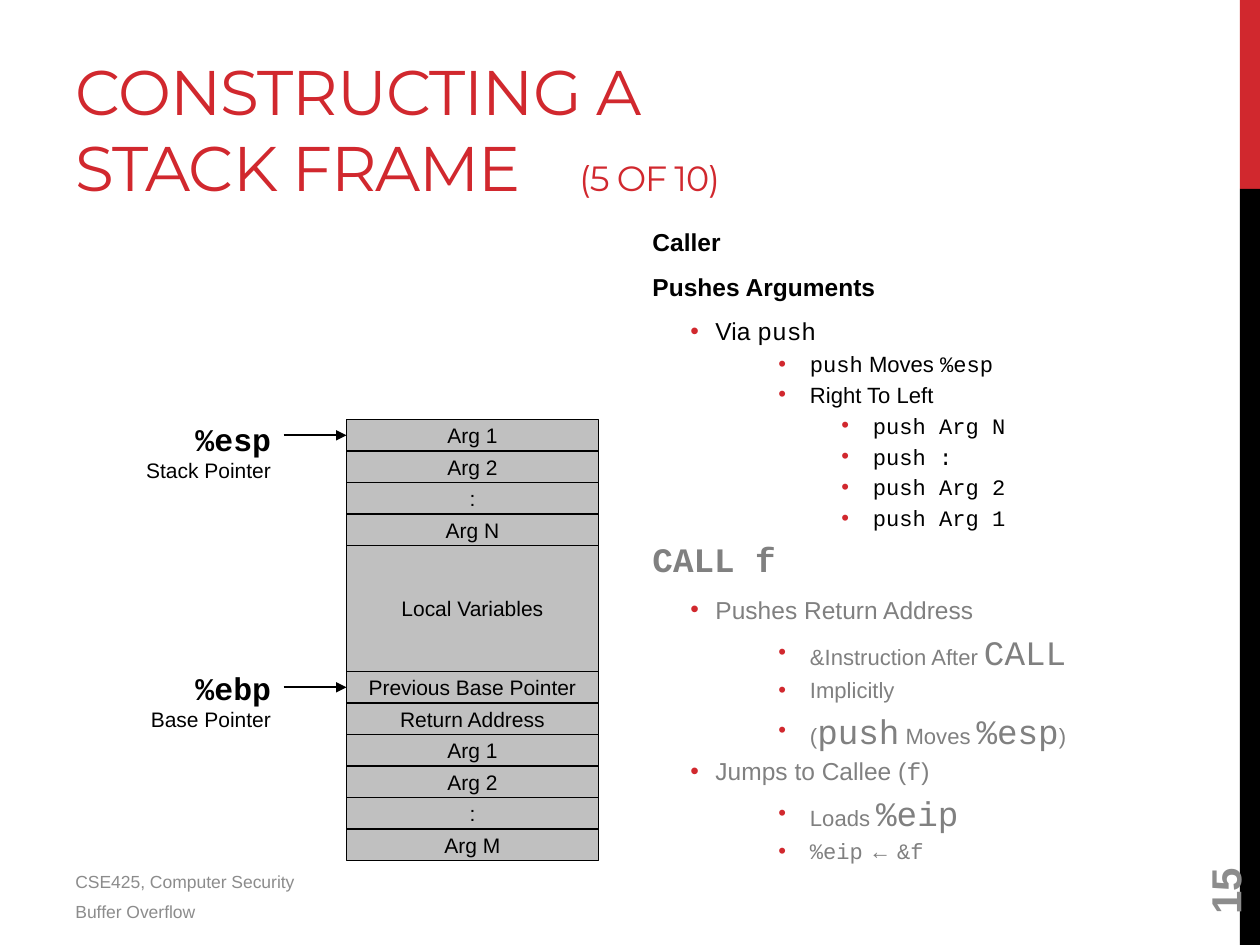
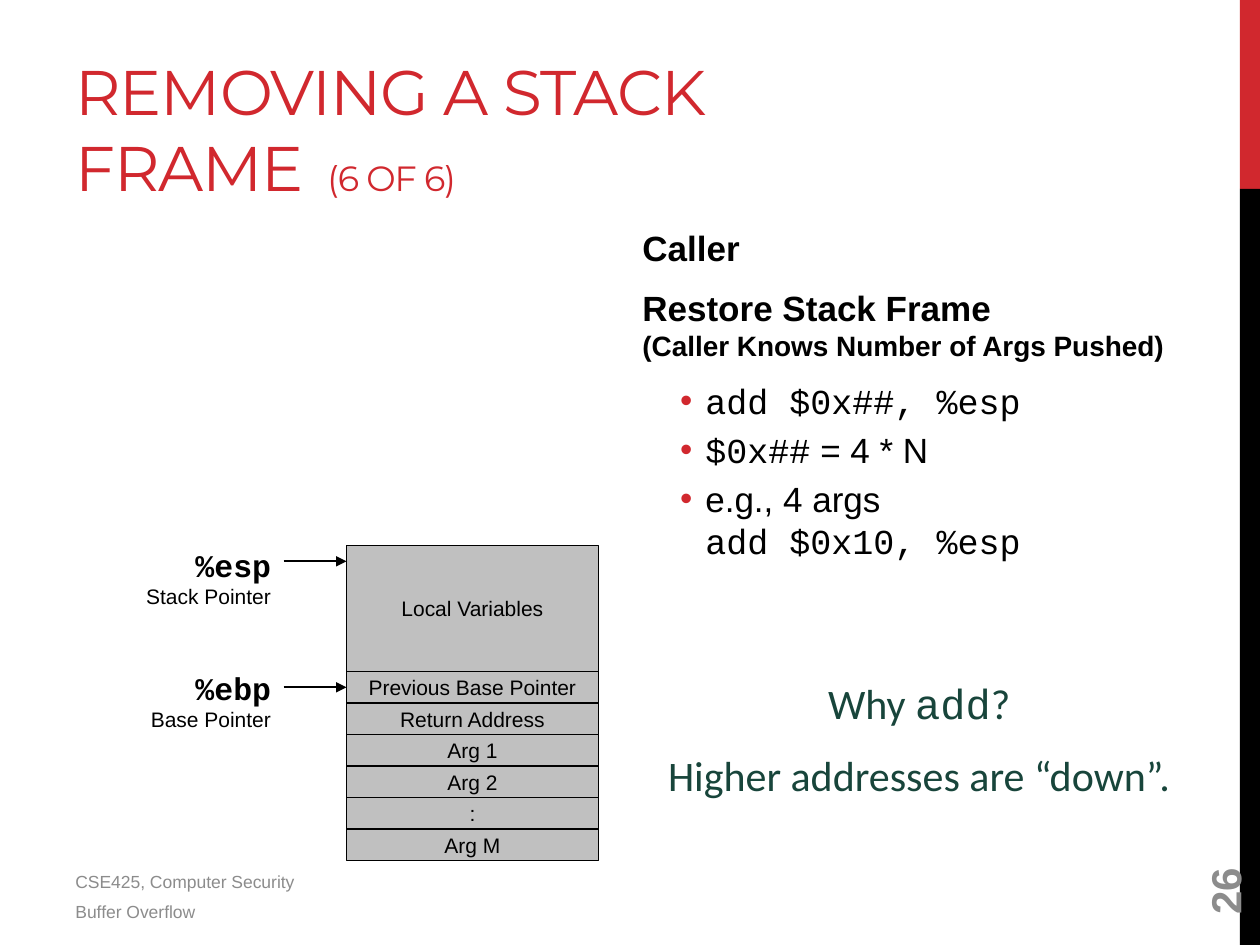
"""Build two slides on constructing and removing a stack frame."""
from dataclasses import dataclass
from functools import partial
from typing import NamedTuple

from lxml.etree import SubElement
from pptx import Presentation
from pptx.dml.color import RGBColor
from pptx.enum.shapes import MSO_CONNECTOR as CONN, MSO_SHAPE as SHAPE
from pptx.enum.text import MSO_ANCHOR as ANCHOR, PP_ALIGN as ALIGN
from pptx.oxml.ns import qn
from pptx.util import Emu, Pt

PX = 9144
RED, BLACK, GRAY, FOOT, SILVER, GREEN = (
    "D1282E", "000000", "808080", "8C8C8C", "C0C0C0", "18453B")
SANS, MONO, HEAD, NOTE = "Arial", "Courier New", "Montserrat", "Calibri"
SLOT, STACK_X, STACK_W, STACK_BOTTOM = 25, 275, 200, 683
INDENTS = ((0, 0), (50, -20), (125, -25), (175, -25))


class Run(NamedTuple):
    text: str
    size: float
    font: str = SANS
    color: str = BLACK
    bold: bool = False
    spacing: int = 0


class Box(NamedTuple):
    x: int
    y: int
    w: int
    h: int


@dataclass
class Para:
    runs: list[Run]
    level: int = 0
    before: int = 0
    after: int = 0
    align: ALIGN = ALIGN.LEFT


@dataclass
class Cell:
    label: str
    slots: int = 1


@dataclass
class Pointer:
    name: str
    caption: str
    cell: int
    rise: int = 0


@dataclass
class Page:
    title: str
    step: str
    number: str
    body_box: Box
    body: list[Para]
    cells: list[Cell]
    note: list[Para]


code = partial(Run, font=MONO)
dim = partial(Run, color=GRAY)
dim_code = partial(Run, font=MONO, color=GRAY)


def px(n: float) -> Emu:
    """Turn px into EMU."""
    return Emu(round(n * PX))


def rgb(value: str) -> RGBColor:
    """Turn a hex string into a colour."""
    return RGBColor.from_string(value)


def add_run(p, text: str, *, size: float, font: str, color: str,
            bold: bool, spacing: int) -> None:
    """Add formatted text to a paragraph, with a line break at each newline."""
    for i, line in enumerate(text.split("\n")):
        if i:
            p.add_line_break()
        r = p.add_run()
        r.text = line
        r.font.size, r.font.name, r.font.bold = Pt(size), font, bold
        r.font.color.rgb = rgb(color)
        if spacing:
            r._r.get_or_add_rPr().set("spc", str(spacing))


def format_para(p, para: Para) -> None:
    """Set alignment, spacing, indent and bullet."""
    p.alignment, p.level = para.align, para.level
    pPr = p._p.get_or_add_pPr()
    if para.before:
        p.space_before = Pt(0)
        spc = pPr.find(qn("a:spcBef"))
        spc.remove(spc[0])
        SubElement(spc, qn("a:spcPct")).set("val", str(para.before * 1000))
    p.space_after = Pt(para.after)
    if para.level:
        margin, indent = INDENTS[para.level]
        pPr.set("marL", str(px(margin)))
        pPr.set("indent", str(px(indent)))
        SubElement(SubElement(pPr, qn("a:buClr")), qn("a:srgbClr")).set("val", RED)
        SubElement(pPr, qn("a:buFont")).set("typeface", SANS)
        SubElement(pPr, qn("a:buChar")).set("char", "•")


def fill_text(sp, paras: list[Para], anchor: ANCHOR = ANCHOR.TOP,
              top: int = 5, bottom: int = 5) -> None:
    """Write paragraphs into a shape."""
    tf = sp.text_frame
    tf.word_wrap, tf.vertical_anchor = True, anchor
    tf.margin_top, tf.margin_bottom = px(top), px(bottom)
    for i, para in enumerate(paras):
        p = tf.add_paragraph() if i else tf.paragraphs[0]
        format_para(p, para)
        for run in para.runs:
            add_run(p, run.text, size=run.size, font=run.font, color=run.color,
                    bold=run.bold, spacing=run.spacing)


def add_text(slide, box: Box, paras: list[Para], **layout):
    """Add a text box."""
    sp = slide.shapes.add_textbox(*map(px, box))
    fill_text(sp, paras, **layout)
    return sp


def add_rect(slide, box: Box, fill: str, line: str | None = None):
    """Add a flat rectangle."""
    sp = slide.shapes.add_shape(SHAPE.RECTANGLE, *map(px, box))
    sp.shadow.inherit = False
    sp.fill.solid()
    sp.fill.fore_color.rgb = rgb(fill)
    if line:
        sp.line.color.rgb, sp.line.width = rgb(line), Pt(1)
    else:
        sp.line.fill.background()
    return sp


def add_frame(slide, page: Page) -> None:
    """Draw the side band, title, footers and slide number."""
    add_rect(slide, Box(984, 0, 16, 150), RED)
    add_rect(slide, Box(984, 150, 16, 600), BLACK)
    heading = partial(Run, font=HEAD, color=RED, spacing=-60)
    add_text(slide, Box(50, 17, 633, 150),
             [Para([heading(page.title + "\t", 36), heading(page.step, 20)])],
             anchor=ANCHOR.BOTTOM)
    add_text(slide, Box(50, 675, 375, 33),
             [Para([Run("CSE425, Computer Security", 10, color=FOOT)])],
             anchor=ANCHOR.BOTTOM, bottom=0)
    add_text(slide, Box(50, 710, 375, 31),
             [Para([Run("Buffer Overflow", 10, color=FOOT)])])
    number = add_text(slide, Box(900, 644, 144, 40),
                      [Para([Run(page.number, 24, color=FOOT, bold=True)])],
                      anchor=ANCHOR.MIDDLE)
    number.rotation = 270


def add_stack(slide, cells: list[Cell]) -> list:
    """Stack the cells so that the last one rests on the bottom line."""
    y = STACK_BOTTOM - SLOT * sum(c.slots for c in cells)
    boxes = []
    for cell in cells:
        h = SLOT * cell.slots
        sp = add_rect(slide, Box(STACK_X, y, STACK_W, h), SILVER, BLACK)
        fill_text(sp, [Para([Run(cell.label, 12)], align=ALIGN.CENTER)],
                  ANCHOR.MIDDLE, 0, 0)
        boxes.append(sp)
        y += h
    return boxes


def add_pointer(slide, pointer: Pointer, target) -> None:
    """Label a register and point its arrow at the first slot of a cell."""
    top = target.top // PX
    add_text(slide, Box(75, top - pointer.rise, 150, 50),
             [Para([code(pointer.name, 18, bold=True)], align=ALIGN.RIGHT),
              Para([Run(pointer.caption, 12)], align=ALIGN.RIGHT)],
             anchor=ANCHOR.MIDDLE, top=0, bottom=0)
    y = px(top + SLOT / 2)
    cx = slide.shapes.add_connector(CONN.STRAIGHT, px(225), y, px(STACK_X), y)
    if target.height == px(SLOT):
        cx.end_connect(target, 1)
    cx.line.color.rgb, cx.line.width = rgb(BLACK), Pt(1)
    SubElement(cx.line._get_or_add_ln(), qn("a:tailEnd")).set("type", "triangle")
    SubElement(cx._element.spPr, qn("a:effectLst"))


def head(*runs: Run) -> Para:
    """Make an unbulleted body heading."""
    return Para([r._replace(bold=True) for r in runs], before=20, after=6)


def item(level: int, *runs: Run) -> Para:
    """Make a bulleted body line."""
    return Para(list(runs), level, before=20)


def remark(*runs: Run) -> Para:
    """Make a centred line of the closing note."""
    return Para([r._replace(color=GREEN) for r in runs], before=50,
                align=ALIGN.CENTER)


def args(last: str) -> list[Cell]:
    """List the cells of an argument block."""
    return [Cell(s) for s in ("Arg 1", "Arg 2", ":", f"Arg {last}")]


FRAME = [Cell("Local Variables", 4), Cell("Previous Base Pointer"),
         Cell("Return Address"), *args("M")]
PUSHES = [item(3, code(f"push {s}", 12.6)) for s in ("Arg N", ":", "Arg 2", "Arg 1")]
PAGES = [
    Page("CONSTRUCTING A STACK FRAME", "(5 OF 10)", "15", Box(508, 175, 442, 495), [
        head(Run("Caller", 14)),
        head(Run("Pushes Arguments", 14)),
        item(1, Run("Via ", 14), code("push", 14)),
        item(2, code("push", 12.6), Run(" Moves ", 12.6), code("%esp", 12.6)),
        item(2, Run("Right To Left", 12.6)),
        *PUSHES,
        head(dim_code("CALL f", 19.6)),
        item(1, dim("Pushes Return Address", 14)),
        item(2, dim("&Instruction After ", 12.6), dim_code("CALL", 19.6)),
        item(2, dim("Implicitly", 12.6)),
        item(2, dim("(", 12.6), dim_code("push", 19.6), dim(" Moves ", 12.6),
             dim_code("%esp", 19.6), dim(")", 12.6)),
        item(1, dim("Jumps to Callee (", 14), dim_code("f", 14), dim(")", 14)),
        item(2, dim("Loads ", 12.6), dim_code("%eip", 19.6)),
        item(2, dim_code("%eip", 12.6), dim(" ← ", 12.6), dim_code("&f", 12.6)),
    ], args("N") + FRAME, []),
    Page("REMOVING A STACK FRAME", "(6 OF 6)", "26", Box(500, 175, 450, 495), [
        head(Run("Caller", 20)),
        head(Run("Restore Stack Frame\n", 20),
             Run("(Caller Knows Number of Args Pushed)", 16)),
        item(1, code("add $0x##, %esp", 20)),
        item(1, code("$0x##", 20), Run(" = 4 * N", 20)),
        item(1, Run("e.g., 4 args\n", 20), code("add $0x10, %esp", 20)),
    ], FRAME, [
        remark(Run("Why ", 24, NOTE), code("add", 24), Run("?", 24, NOTE)),
        remark(Run("Higher addresses are “down”.", 24, NOTE)),
    ]),
]


def main() -> None:
    """Build and save the deck."""
    prs = Presentation()
    prs.slide_width, prs.slide_height = px(1000), px(750)
    for page in PAGES:
        slide = prs.slides.add_slide(prs.slide_layouts[6])
        add_frame(slide, page)
        add_text(slide, page.body_box, page.body)
        if page.note:
            add_text(slide, Box(517, 533, 425, 111), page.note)
        boxes = add_stack(slide, page.cells)
        base = len(page.cells) - len(FRAME) + 1
        for pointer in (Pointer("%esp", "Stack Pointer", 0),
                        Pointer("%ebp", "Base Pointer", base, rise=2)):
            add_pointer(slide, pointer, boxes[pointer.cell])
    prs.save("out.pptx")


if __name__ == "__main__":
    main()
